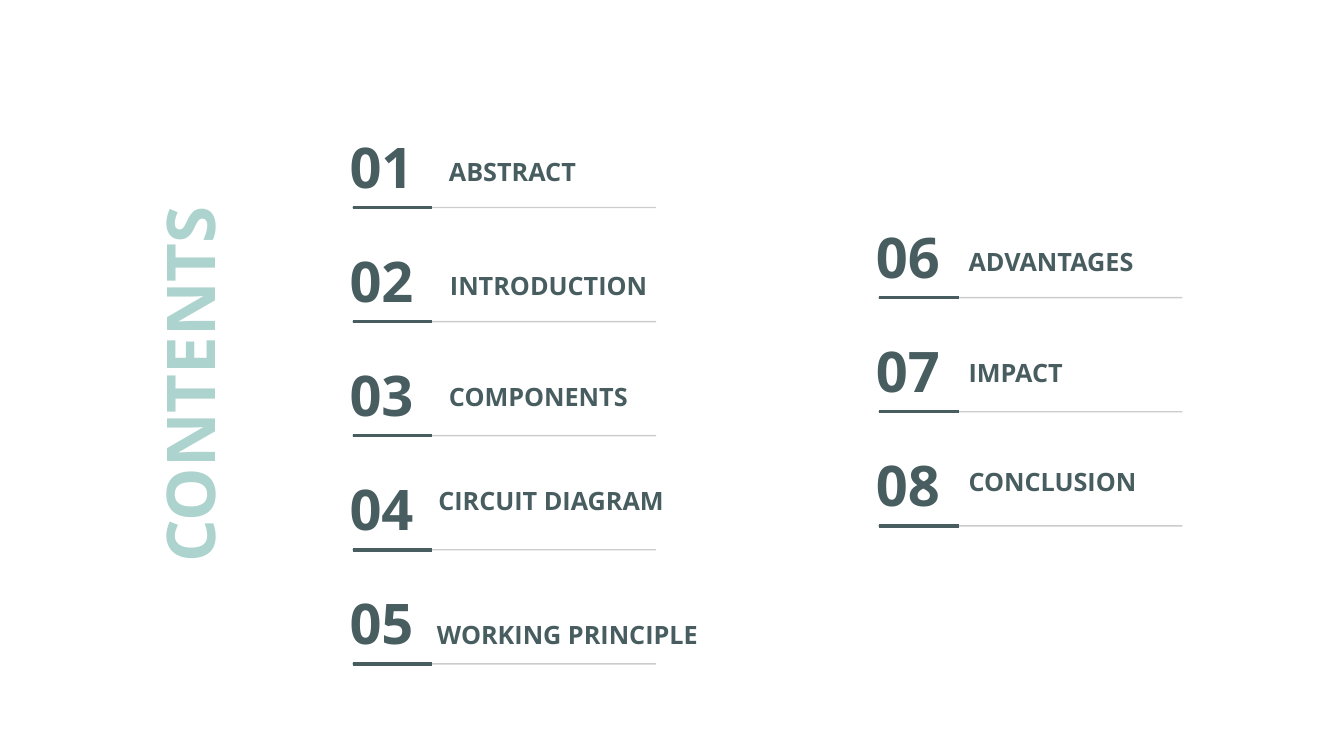
"""Build a contents slide with eight numbered entries in two columns."""
from lxml import etree
from pptx import Presentation
from pptx.dml.color import RGBColor
from pptx.enum import shapes, text
from pptx.oxml import ns
from pptx.util import Pt

FONT, TEAL, SLATE, BLACK = "Open Sans", "ACD3CD", "485D60", "000000"
TITLE = "CONTENTS"
TITLE_BOX = (-15.1, 241.9, 300.2, 65.5)
PITCH = 81.5
COLUMNS = [
    {"left": 234.7, "top": 90.9, "entries": [
        ("ABSTRACT", 313.6, 108),
        ("INTRODUCTION", 314.3, 189.4),
        ("COMPONENTS", 313.6, 268.6),
        ("CIRCUIT DIAGRAM", 306, 343.4),
        ("WORKING PRINCIPLE", 305, 438.5),
    ]},
    {"left": 610.6, "top": 155.3, "entries": [
        ("ADVANTAGES", 684.7, 172.1),
        ("IMPACT", 684.7, 252),
        ("CONCLUSION", 684.7, 329.8),
    ]},
]
NUMBER_SIZE = (75.6, 55.7)
LABEL_SIZE = (231, 35)
RULE_DROP = 57.3
RULES = [(16.6, 234, BLACK, 1, 20), (17.3, 74.2, SLATE, 2.5, 100)]


def color(value):
    return RGBColor.from_string(value)


def write(shape, words, size, fill, align):
    frame = shape.text_frame
    frame.word_wrap = True
    frame.auto_size = text.MSO_AUTO_SIZE.NONE
    para = frame.paragraphs[0]
    para.alignment = align
    span = para.add_run()
    span.text = words
    style = {"name": FONT, "size": Pt(size), "bold": True}
    for name, value in style.items():
        setattr(span.font, name, value)
    span.font.color.rgb = color(fill)


def add_text(page, box, words, size, align):
    shape = page.shapes.add_textbox(*map(Pt, box))
    write(shape, words, size, SLATE, align)


def add_rules(page, left, top):
    group = page.shapes.add_group_shape()
    for start, end, fill, width, opacity in RULES:
        ends = map(Pt, (left + start, top, left + end, top))
        rule = group.shapes.add_connector(shapes.MSO_CONNECTOR.STRAIGHT, *ends)
        rule.line.color.rgb = color(fill)
        rule.line.width = Pt(width)
        properties = rule._element.spPr
        etree.SubElement(properties, ns.qn("a:effectLst"))
        if opacity < 100:
            paint = properties.find(".//" + ns.qn("a:srgbClr"))
            etree.SubElement(paint, ns.qn("a:alpha"), val=str(opacity * 1000))


def add_title(page):
    title = page.shapes.title
    places = dict(zip(("left", "top", "width", "height"), map(Pt, TITLE_BOX)))
    for name, value in places.items():
        setattr(title, name, value)
    title.rotation = 270
    title.text_frame.vertical_anchor = text.MSO_ANCHOR.MIDDLE
    write(title, TITLE, 48, TEAL, text.PP_ALIGN.CENTER)


def main():
    deck = Presentation()
    deck.slide_width, deck.slide_height = Pt(960), Pt(540)
    page = deck.slides.add_slide(deck.slide_layouts[5])
    add_title(page)
    number = 0
    for column in COLUMNS:
        left = column["left"]
        for row, (label, label_left, label_top) in enumerate(column["entries"]):
            number += 1
            top = column["top"] + row * PITCH
            add_text(page, (left, top, *NUMBER_SIZE), f"{number:02}", 40,
                     text.PP_ALIGN.CENTER)
            add_rules(page, left, top + RULE_DROP)
            add_text(page, (label_left, label_top, *LABEL_SIZE), label, 18,
                     text.PP_ALIGN.LEFT)
    deck.save("out.pptx")


if __name__ == "__main__":
    main()
